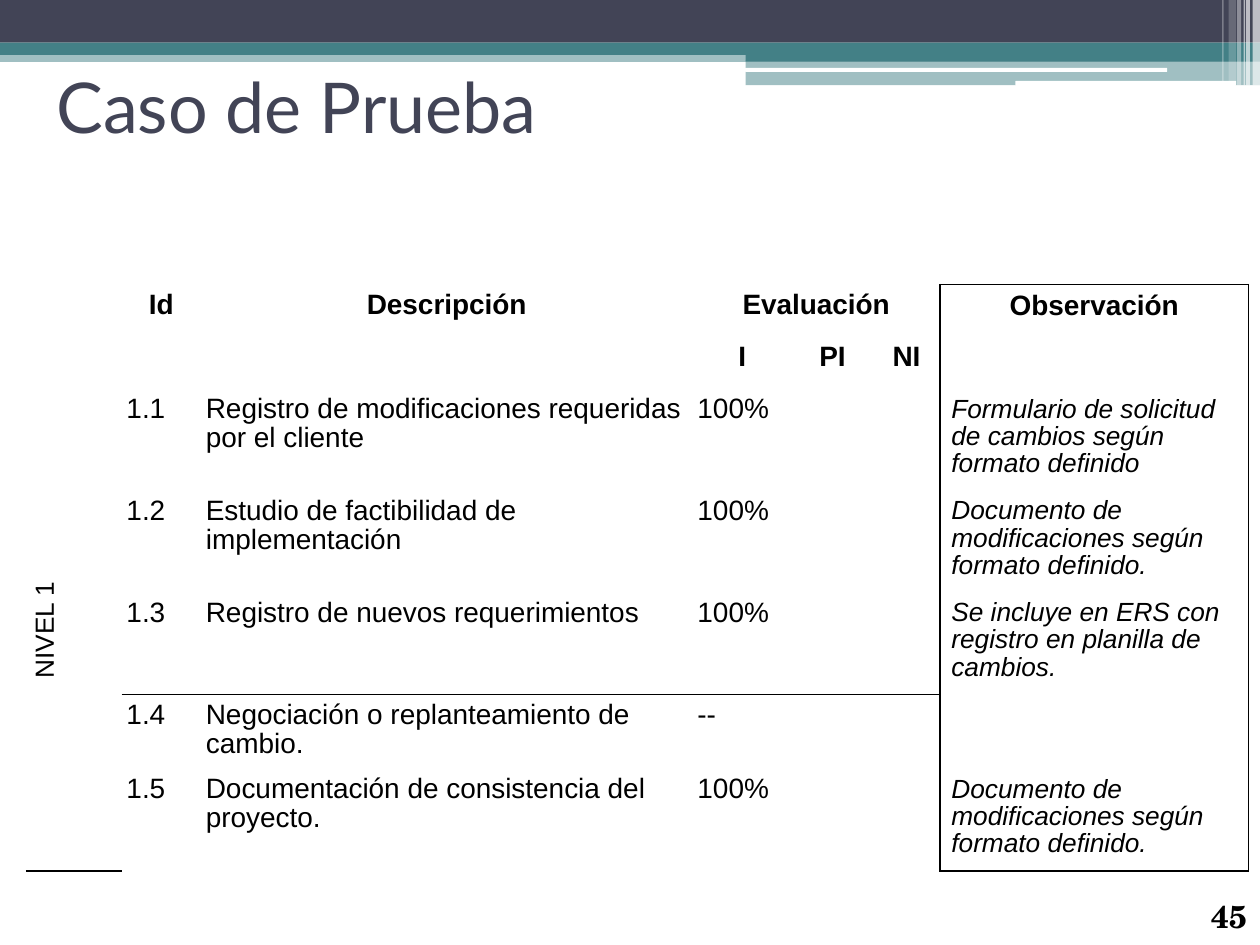
from lxml import etree
from pptx import Presentation
from pptx.dml.color import RGBColor
from pptx.enum.shapes import MSO_SHAPE
from pptx.enum.text import MSO_ANCHOR, PP_ALIGN
from pptx.oxml.ns import qn
from pptx.util import Cm, Pt

RECTANGLE = MSO_SHAPE.RECTANGLE
ROUNDED = MSO_SHAPE.ROUNDED_RECTANGLE
TOP, MIDDLE = MSO_ANCHOR.TOP, MSO_ANCHOR.MIDDLE
LEFT, CENTER = PP_ALIGN.LEFT, PP_ALIGN.CENTER

NAVY, TEAL, WHITE, BLACK = "424456", "438086", "FFFFFF", "000000"

BANDS = [
    (0, 1.02, 25.4, 0.23, TEAL, 50),
    (0, 0, 25.4, 0.86, NAVY, 100),
    (0, 0.86, 25.4, 0.25, TEAL, 100),
    (15.03, 0.99, 10.37, 0.25, TEAL, 100),
    (15.03, 1.22, 10.37, 0.5, TEAL, 50),
]
ROUNDED_BARS = [(15.02, 1.37, 8.51, 0.08), (20.47, 1.63, 4.45, 0.1)]
STRIPES = [
    (25.25, 0.15, 1.73, 65),
    (25.12, 0.08, 1.73, 65),
    (25.07, 0.03, 1.73, 60),
    (24.94, 0.08, 1.73, 40),
    (24.77, 0.15, 1.63, 20),
    (24.64, 0.03, 1.63, 30),
]

COLUMN_WIDTHS = [1.93, 1.6, 9.91, 2.01, 1.63, 1.35, 6.22]
ROW_HEIGHTS = [1.05, 1.05, 1.98, 1.98, 1.98, 1.5, 1.98]
HEADERS = [
    ["", "Id", "Descripción", "Evaluación", "", "", "Observación"],
    ["", "", "", "I", "PI", "NI", ""],
]
CASES = [
    ["NIVEL 1", "1.1", "Registro de modificaciones requeridas por el cliente", "100%", "", "",
     "Formulario de solicitud de cambios según formato definido"],
    ["", "1.2", "Estudio de factibilidad de implementación", "100%", "", "",
     "Documento de modificaciones según formato definido."],
    ["", "1.3", "Registro de nuevos requerimientos", "100%", "", "",
     "Se incluye en ERS con registro en planilla de cambios."],
    ["", "1.4", "Negociación o replanteamiento de cambio.", "--", "", "", ""],
    ["", "1.5", "Documentación de consistencia del proyecto.", "100%", "", "",
     "Documento de modificaciones según formato definido."],
]
MERGES = [(0, 1, 1, 1), (0, 2, 1, 2), (0, 3, 0, 5), (0, 6, 1, 6), (2, 0, 6, 0)]
LEVEL_COLUMN, OBSERVATION_COLUMN = 0, 6
RULE_ROW, LAST_ROW = 4, 6


def color(value):
    return RGBColor.from_string(value)


def style_font(paragraph, name, size, value, bold=False, italic=False):
    font = paragraph.font
    font.name, font.size = name, Pt(size)
    font.bold, font.italic = bold, italic
    font.color.rgb = color(value)


def set_margins(target, margins):
    (target.margin_left, target.margin_top,
     target.margin_right, target.margin_bottom) = map(Cm, margins)


def add_bar(slide, kind, left, top, width, height, value, opacity=100):
    shape = slide.shapes.add_shape(kind, Cm(left), Cm(top), Cm(width), Cm(height))
    shape.shadow.inherit = False
    shape.line.fill.background()
    shape.fill.solid()
    shape.fill.fore_color.rgb = color(value)
    if opacity < 100:
        fill = shape.element.spPr.find(qn("a:solidFill"))
        etree.SubElement(fill[0], qn("a:alpha"), val=str(opacity * 1000))


def add_text(slide, box, text, name, size, value, anchor=TOP, bold=False, wrap=True):
    frame = slide.shapes.add_textbox(*map(Cm, box)).text_frame
    frame.word_wrap = wrap
    frame.vertical_anchor = anchor
    set_margins(frame, (0.23, 0.13, 0.23, 0.11))
    frame.text = text
    style_font(frame.paragraphs[0], name, size, value, bold)


def visible_sides(row, column):
    sides = set()
    if column == OBSERVATION_COLUMN:
        sides |= {"L", "R"}
        if row == 0:
            sides.add("T")
    if column == OBSERVATION_COLUMN - 1 or (row, column) == (0, 3):
        sides.add("R")
    if LEVEL_COLUMN < column < OBSERVATION_COLUMN:
        if row == RULE_ROW:
            sides.add("B")
        if row == RULE_ROW + 1:
            sides.add("T")
    if column == LEVEL_COLUMN and row >= 2:
        sides.add("B")
    if column == OBSERVATION_COLUMN and row == LAST_ROW:
        sides.add("B")
    return sides


def set_borders(cell, sides):
    properties = cell._tc.get_or_add_tcPr()
    for index, side in enumerate("LRTB"):
        line = etree.Element(qn(f"a:ln{side}"), w=str(Pt(1)))
        if side in sides:
            fill = etree.SubElement(line, qn("a:solidFill"))
            etree.SubElement(fill, qn("a:srgbClr"), val=BLACK)
        else:
            etree.SubElement(line, qn("a:noFill"))
        properties.insert(index, line)


def fill_cell(cell, text, row, column):
    header = row < 2
    level = column == LEVEL_COLUMN and not header
    observation = column == OBSERVATION_COLUMN
    small = not header and (level or observation)
    cell.text = text
    cell.fill.background()
    cell.vertical_anchor = MIDDLE if level else TOP
    set_margins(cell, (0.23, 0.15, 0.23, 0.13) if observation else (0.1, 0.13, 0.1, 0.1))
    paragraph = cell.text_frame.paragraphs[0]
    paragraph.alignment = CENTER if header or level else LEFT
    paragraph.line_spacing = 0.93
    style_font(paragraph, "Arial", 15 if small else 16, BLACK, header,
               observation and not header)
    if level:
        cell._tc.get_or_add_tcPr().set("vert", "vert270")
    set_borders(cell, visible_sides(row, column))


def add_case_table(slide):
    rows = HEADERS + CASES
    table = slide.shapes.add_table(
        len(rows), len(COLUMN_WIDTHS), Cm(0.52), Cm(5.74),
        Cm(sum(COLUMN_WIDTHS)), Cm(sum(ROW_HEIGHTS))).table
    table.first_row = table.horz_banding = False
    for column, width in zip(table.columns, COLUMN_WIDTHS):
        column.width = Cm(width)
    for row, height in zip(table.rows, ROW_HEIGHTS):
        row.height = Cm(height)
    for row, texts in enumerate(rows):
        for column, text in enumerate(texts):
            fill_cell(table.cell(row, column), text, row, column)
    for top, left, bottom, right in MERGES:
        table.cell(top, left).merge(table.cell(bottom, right))


def main():
    presentation = Presentation()
    presentation.slide_width, presentation.slide_height = Cm(25.4), Cm(19.05)
    slide = presentation.slides.add_slide(presentation.slide_layouts[6])
    for band in BANDS:
        add_bar(slide, RECTANGLE, *band)
    for bar in ROUNDED_BARS:
        add_bar(slide, ROUNDED, *bar, WHITE)
    for left, width, height, opacity in STRIPES:
        add_bar(slide, RECTANGLE, left, 0, width, height, WHITE, opacity)
    add_text(slide, (0.91, 0.23, 23.6, 3.76), "Caso de Prueba", "Lato", 40, NAVY, MIDDLE)
    add_text(slide, (24.18, 17.96, 1.22, 1.09), "45", "TeX Gyre Schola", 18, BLACK,
             bold=True, wrap=False)
    add_case_table(slide)
    presentation.save("out.pptx")


main()
